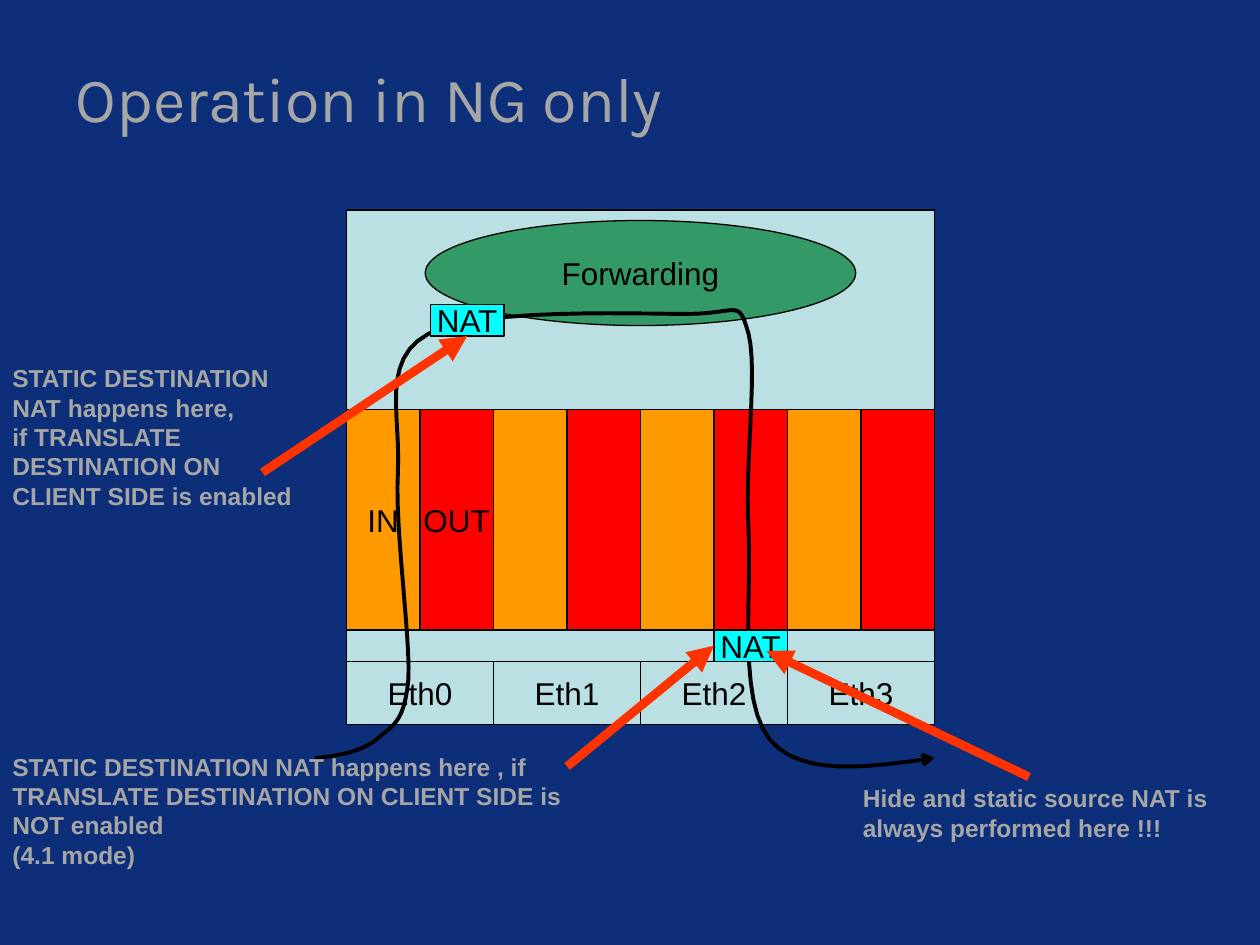
from dataclasses import dataclass
from typing import Optional

from lxml import etree
from pptx import Presentation
from pptx.dml.color import RGBColor
from pptx.enum.shapes import MSO_CONNECTOR, MSO_SHAPE
from pptx.enum.text import MSO_ANCHOR, MSO_AUTO_SIZE, PP_ALIGN
from pptx.oxml.ns import qn
from pptx.util import Inches, Pt

RECTANGLE, OVAL = MSO_SHAPE.RECTANGLE, MSO_SHAPE.OVAL
STRAIGHT = MSO_CONNECTOR.STRAIGHT
MIDDLE, TOP = MSO_ANCHOR.MIDDLE, MSO_ANCHOR.TOP
CENTER, LEFT = PP_ALIGN.CENTER, PP_ALIGN.LEFT
GROW = MSO_AUTO_SIZE.SHAPE_TO_FIT_TEXT
LEFT_SIDE, BOTTOM_SIDE = 1, 2

COLORS = {
    "background": "0D2F79",
    "panel": "BBE0E3",
    "forwarding": "339966",
    "in": "FF9900",
    "out": "FF0000",
    "nat": "00FFFF",
    "pointer": "FF3300",
    "black": "000000",
    "note": "A6A6A6",
}

COLUMNS, ROWS = 120, 90
CELL = Inches(10) / COLUMNS

PANEL_LEFT, PANEL_TOP = 33, 20
PORT_WIDTH, PORT_HEIGHT, PORT_TOP = 14, 6, 63
STRIPE_WIDTH, STRIPE_TOP, STRIPE_HEIGHT = 7, 39, 21
PORTS = ["Eth0", "Eth1", "Eth2", "Eth3"]

ROUTE_START = (30, 72.2)
ROUTE_CURVES = [
    ((32.2, 72), (34.4, 71.6), (35.9, 70.4)),
    ((37.3, 69.1), (38.5, 69), (38.9, 64.7)),
    ((39.1, 60.5), (37.6, 50.4), (37.9, 45)),
    ((38.2, 39.5), (36.2, 34.3), (40.8, 31.8)),
    ((45.4, 29.3), (60.4, 29.9), (65.4, 29.9)),
    ((70.4, 29.9), (70.3, 28.3), (71.3, 31.8)),
    ((72.2, 35.3), (70.9, 44.2), (71.3, 50.6)),
    ((71.6, 57), (70.3, 66.7), (73.3, 70.4)),
    ((76.2, 74), (82.6, 73.1), (89, 72.2)),
]
CURVE_STEPS = 12


@dataclass
class Area:
    left: float
    top: float
    width: float
    height: float

    def place(self) -> list[int]:
        return [grid(n) for n in (self.left, self.top, self.width, self.height)]


@dataclass
class Block:
    area: Area
    color: str
    label: str = ""
    shape: int = RECTANGLE


@dataclass
class Note:
    area: Area
    paragraphs: list[list[str]]


@dataclass
class Pointer:
    start: tuple[float, float]
    end: tuple[float, float]
    target: Optional[object] = None
    side: int = 0


def grid(cells: float) -> int:
    return round(cells * CELL)


def rgb(name: str) -> RGBColor:
    return RGBColor.from_string(COLORS[name])


def add_span(para, text: str, size: float, color: str, font: str = "Arial", bold: bool = False) -> None:
    span = para.add_run()
    span.text = text
    span.font.name = font
    span.font.size = Pt(size)
    span.font.bold = bold
    span.font.color.rgb = rgb(color)


def add_arrowhead(shape, kind: str) -> None:
    outline = shape._element.spPr.find(qn("a:ln"))
    etree.SubElement(outline, qn("a:tailEnd"), type=kind)


def draw_block(page, block: Block):
    box = page.shapes.add_shape(block.shape, *block.area.place())
    box.shadow.inherit = False
    box.fill.solid()
    box.fill.fore_color.rgb = rgb(block.color)
    box.line.color.rgb = rgb("black")
    box.line.width = Pt(0.75)
    if block.label:
        frame = box.text_frame
        frame.word_wrap = False
        frame.vertical_anchor = MIDDLE
        para = frame.paragraphs[0]
        para.alignment = CENTER
        add_span(para, block.label, 18, "black")
    return box


def draw_route(page) -> None:
    points = []
    start = ROUTE_START
    for first, second, end in ROUTE_CURVES:
        for step in range(1, CURVE_STEPS + 1):
            t = step / CURVE_STEPS
            s = 1 - t
            points.append(tuple(
                grid(s**3 * a + 3 * s * s * t * b + 3 * s * t * t * c + t**3 * d)
                for a, b, c, d in zip(start, first, second, end)
            ))
        start = end
    builder = page.shapes.build_freeform(*map(grid, ROUTE_START))
    builder.add_line_segments(points, close=False)
    route = builder.convert_to_shape()
    route.shadow.inherit = False
    route.fill.background()
    route.line.color.rgb = rgb("black")
    route.line.width = Pt(2.25)
    add_arrowhead(route, "arrow")


def draw_pointer(page, pointer: Pointer) -> None:
    ends = [grid(n) for n in pointer.start + pointer.end]
    arrow = page.shapes.add_connector(STRAIGHT, *ends)
    if pointer.target is not None:
        arrow.end_connect(pointer.target, pointer.side)
    arrow.line.color.rgb = rgb("pointer")
    arrow.line.width = Pt(5)
    add_arrowhead(arrow, "triangle")
    etree.SubElement(arrow._element.spPr, qn("a:effectLst"))


def draw_note(page, note: Note) -> None:
    box = page.shapes.add_textbox(*note.area.place())
    frame = box.text_frame
    frame.word_wrap = True
    frame.auto_size = GROW
    frame.vertical_anchor = TOP
    for index, lines in enumerate(note.paragraphs):
        para = frame.add_paragraph() if index else frame.paragraphs[0]
        for number, text in enumerate(lines):
            if number:
                para.add_line_break()
            add_span(para, text, 14, "note", bold=True)


def draw_title(page, text: str) -> None:
    title = page.shapes.title
    title.left, title.top, title.width, title.height = Area(6, 3.6, 108, 11.4).place()
    title.text_frame.vertical_anchor = MIDDLE
    para = title.text_frame.paragraphs[0]
    para.alignment = LEFT
    add_span(para, text, 36, "note", font="Karla")


def main() -> None:
    deck = Presentation()
    deck.slide_width, deck.slide_height = grid(COLUMNS), grid(ROWS)
    page = deck.slides.add_slide(deck.slide_layouts[5])
    page.background.fill.solid()
    page.background.fill.fore_color.rgb = rgb("background")
    draw_title(page, "Operation in NG only")

    draw_block(page, Block(Area(PANEL_LEFT, PANEL_TOP, PORT_WIDTH * len(PORTS), 49), "panel"))
    draw_block(page, Block(Area(40.5, 21, 41, 10), "forwarding", "Forwarding", OVAL))
    for index, port in enumerate(PORTS):
        left = PANEL_LEFT + index * PORT_WIDTH
        draw_block(page, Block(Area(left, PORT_TOP, PORT_WIDTH, PORT_HEIGHT), "panel", port))
        for offset, name in enumerate(("in", "out")):
            area = Area(left + offset * STRIPE_WIDTH, STRIPE_TOP, STRIPE_WIDTH, STRIPE_HEIGHT)
            draw_block(page, Block(area, name, "" if index else name.upper()))

    draw_route(page)
    source_nat = draw_block(page, Block(Area(68, 60, 7, 3), "nat", "NAT"))
    client_nat = draw_block(page, Block(Area(41, 29, 7, 3), "nat", "NAT"))

    for pointer in (
        Pointer((25, 45), (44, 32), client_nat, BOTTOM_SIDE),
        Pointer((54, 73), (68, 62), source_nat, LEFT_SIDE),
        Pointer((98, 74), (73, 62)),
    ):
        draw_pointer(page, pointer)

    for note in (
        Note(Area(0, 34, 30, 15.2), [
            ["STATIC DESTINATION NAT happens here,"],
            ["if TRANSLATE DESTINATION ON CLIENT SIDE is enabled"],
        ]),
        Note(Area(0, 71, 57, 12.5), [[
            "STATIC DESTINATION NAT happens here , if TRANSLATE DESTINATION ON CLIENT SIDE is NOT enabled",
            "(4.1 mode)",
        ]]),
        Note(Area(81, 74, 41, 6.8), [["Hide and static source NAT is always performed here !!!"]]),
    ):
        draw_note(page, note)

    deck.save("out.pptx")


if __name__ == "__main__":
    main()
